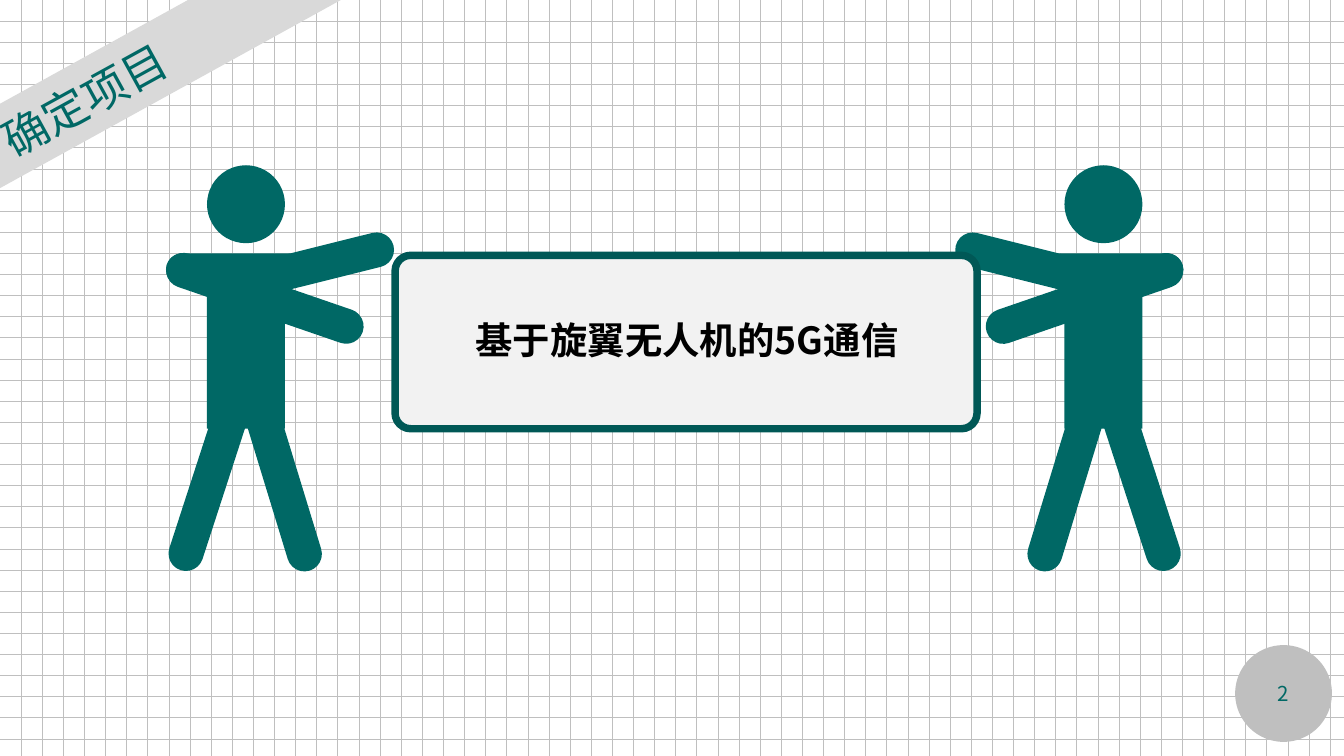
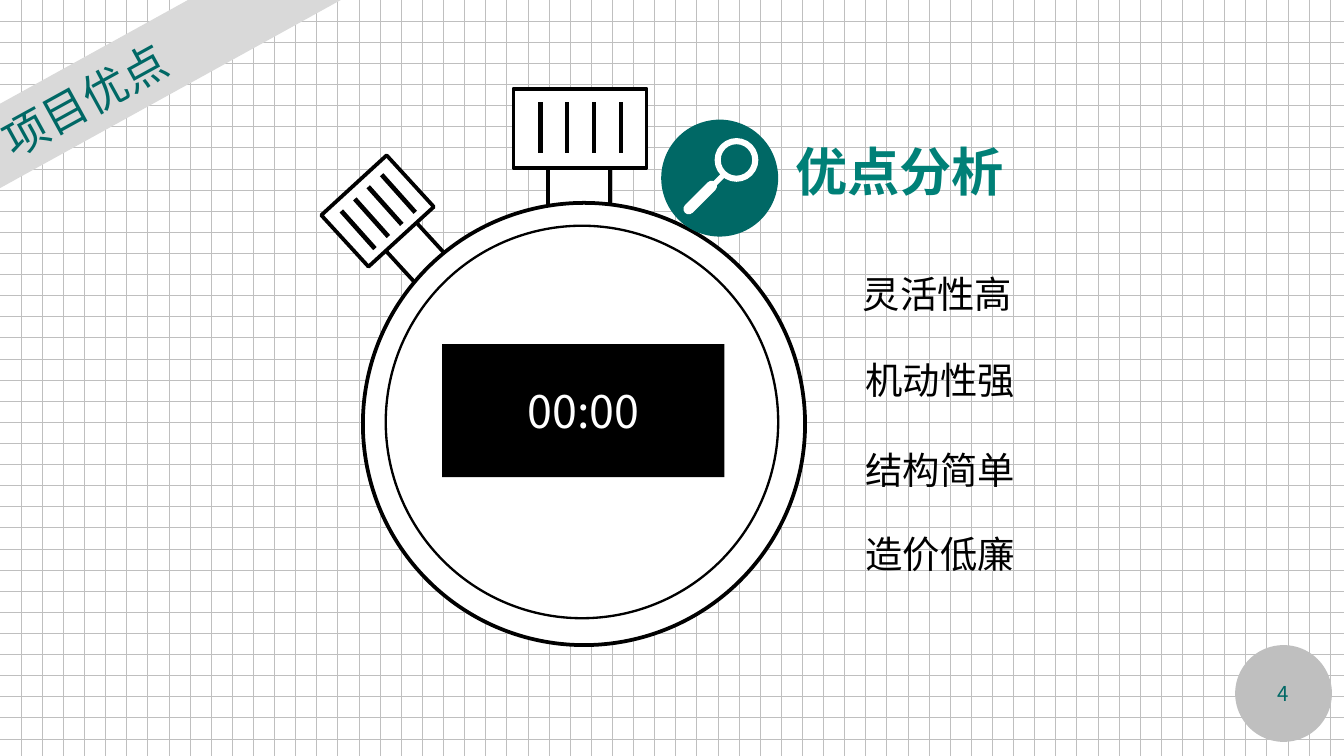
from lxml.etree import SubElement
from pptx import Presentation
from pptx.dml.color import RGBColor
from pptx.enum.dml import MSO_PATTERN
from pptx.enum.shapes import MSO_CONNECTOR, MSO_SHAPE
from pptx.enum.text import MSO_ANCHOR, MSO_AUTO_SIZE, PP_ALIGN
from pptx.oxml.ns import qn
from pptx.util import Inches, Pt

WIDTH = 10
HEIGHT = WIDTH * 9 / 16
FONT = "Noto Sans CJK SC"
TEAL, DARK_TEAL, BRIGHT_TEAL = "006865", "005856", "008077"
BLACK, WHITE = "000000", "FFFFFF"
GRID_GREY, BAND_GREY, PANEL_GREY = "BFBFBF", "D9D9D9", "F2F2F2"

RECT, OVAL, ROUND = MSO_SHAPE.RECTANGLE, MSO_SHAPE.OVAL, MSO_SHAPE.ROUNDED_RECTANGLE
TORSO = MSO_SHAPE.ROUND_2_SAME_RECTANGLE

PROJECT = {"title": "确定项目", "number": "2", "topic": "基于旋翼无人机的5G通信"}
BENEFITS = {
    "title": "项目优点",
    "number": "4",
    "heading": "优点分析",
    "clock": "00:00",
    "items": [
        ("灵活性高", (6.32, 1.97, 1.35, 0.44)),
        ("机动性强", (6.34, 2.61, 1.32, 0.44)),
        ("结构简单", (6.34, 3.28, 1.58, 0.44)),
        ("造价低廉", (6.34, 3.9, 1.58, 0.44)),
    ],
}

MIRROR_AXIS = 5.02
BODY_PARTS = [
    (OVAL, (1.54, 1.23, 0.58, 0.58), 0),
    (TORSO, (1.54, 1.91, 0.58, 1.28), 0),
    (ROUND, (1.45, 2.75, 0.26, 1.53), 18),
    (ROUND, (1.95, 2.75, 0.26, 1.53), 343),
    (ROUND, (2.25, 1.4, 0.26, 1.13), 76),
    (ROUND, (1.84, 1.45, 0.26, 1.54), 109),
    (ROUND, (1.63, 1.49, 0.24, 1.03), 90),
]

BUTTONS = [
    {
        "angle": 0,
        "stem": (4.08, 1.05, 0.46, 0.59),
        "cap": (3.82, 0.66, 0.99, 0.59),
        "first": (4.02, 0.76),
        "step": (0.2, 0),
        "ridge": (0, 0.38),
    },
    {
        "angle": 317.5,
        "stem": (2.87, 1.49, 0.31, 0.63),
        "cap": (2.48, 1.31, 0.66, 0.52),
        "first": (2.54, 1.57),
        "step": (0.1, -0.09),
        "ridge": (0.25, 0.28),
    },
]
RIDGE_COUNT = 4


def color(value):
    return RGBColor.from_string(value)


def add_run(frame, text, size, text_color, bold=False, align=PP_ALIGN.LEFT):
    paragraph = frame.paragraphs[0]
    paragraph.alignment = align
    run = paragraph.add_run()
    run.text = text
    run.font.size = Pt(size)
    run.font.bold = bold
    run.font.name = FONT
    run.font.color.rgb = color(text_color)
    SubElement(run._r.get_or_add_rPr(), qn("a:ea")).set("typeface", FONT)


def add_block(shapes, kind, box, fill, line=None, angle=0, corner=0.5):
    shape = shapes.add_shape(kind, *map(Inches, box))
    shape.rotation = angle
    shape.shadow.inherit = False
    shape.fill.solid()
    shape.fill.fore_color.rgb = color(fill)
    if kind == ROUND:
        shape.adjustments[0] = corner
    if line:
        line_color, points = line
        shape.line.color.rgb = color(line_color)
        shape.line.width = Pt(points)
    else:
        shape.line.fill.background()
    shape.text_frame.vertical_anchor = MSO_ANCHOR.MIDDLE
    return shape


def add_line(shapes, start, end, points):
    ends = map(Inches, (*start, *end))
    connector = shapes.add_connector(MSO_CONNECTOR.STRAIGHT, *ends)
    connector.line.color.rgb = color(BLACK)
    connector.line.width = Pt(points)
    SubElement(connector._element.spPr, qn("a:effectLst"))


def add_label(shapes, box, text, size, text_color=BLACK, bold=False):
    frame = shapes.add_textbox(*map(Inches, box)).text_frame
    frame.word_wrap = True
    frame.auto_size = MSO_AUTO_SIZE.SHAPE_TO_FIT_TEXT
    add_run(frame, text, size, text_color, bold)


def start_slide(presentation, content):
    slide = presentation.slides.add_slide(presentation.slide_layouts[6])
    background = slide.background.fill
    background.patterned()
    background.pattern = MSO_PATTERN.DOTTED_GRID
    background.fore_color.rgb = color(GRID_GREY)
    background.back_color.rgb = color(WHITE)

    band = add_block(slide.shapes, RECT, (-0.95, 0.19, 4.15, 0.55), BAND_GREY, angle=331.1)
    band.text_frame.margin_left = Inches(0.84)
    add_run(band.text_frame, content["title"], 24, TEAL)
    return slide


def add_badge(slide, number):
    badge = add_block(slide.shapes, OVAL, (9.19, 4.8, 0.72, 0.72), GRID_GREY)
    add_run(badge.text_frame, number, 11, TEAL, align=PP_ALIGN.CENTER)


def add_figure(slide, mirrored):
    group = slide.shapes.add_group_shape()
    for kind, (left, top, width, height), angle in BODY_PARTS:
        if mirrored:
            left = 2 * MIRROR_AXIS - left - width
            angle = -angle % 360
        add_block(group.shapes, kind, (left, top, width, height), TEAL, angle=angle)


def add_stopwatch(slide, clock):
    shapes = slide.shapes.add_group_shape().shapes
    outline = (BLACK, 2)
    for button in BUTTONS:
        for part in ("stem", "cap"):
            add_block(shapes, RECT, button[part], WHITE, outline, button["angle"])
        for index in range(RIDGE_COUNT):
            start = [first + index * step for first, step in zip(button["first"], button["step"])]
            end = [place + length for place, length in zip(start, button["ridge"])]
            add_line(shapes, start, end, 2.5)
    add_block(shapes, OVAL, (2.7, 1.51, 3.29, 3.29), WHITE, outline)
    add_block(shapes, OVAL, (2.87, 1.68, 2.92, 2.92), WHITE, (BLACK, 1.25))
    display = add_block(shapes, RECT, (3.29, 2.56, 2.1, 0.99), BLACK)
    add_run(display.text_frame, clock, 24, WHITE, align=PP_ALIGN.CENTER)


def add_heading(slide, heading):
    shapes = slide.shapes.add_group_shape().shapes
    magnifier = [
        (OVAL, (4.92, 0.89, 0.87, 0.87), TEAL, None),
        (RECT, (5.17, 1.35, 0.29, 0.04), WHITE, None),
        (ROUND, (5.05, 1.43, 0.32, 0.08), WHITE, None),
        (OVAL, (5.34, 1.05, 0.28, 0.28), TEAL, (WHITE, 3.25)),
    ]
    for kind, box, fill, line in magnifier:
        add_block(shapes, kind, box, fill, line, angle=315)
    add_label(shapes, (5.82, 0.99, 2.36, 0.57), heading, 28, BRIGHT_TEAL, bold=True)


def build_project(presentation):
    slide = start_slide(presentation, PROJECT)
    add_badge(slide, PROJECT["number"])
    for mirrored in (False, True):
        add_figure(slide, mirrored)
    panel = (2.94, 1.9, 4.33, 1.29)
    add_block(slide.shapes, ROUND, panel, PANEL_GREY, (DARK_TEAL, 4), corner=0.09)
    add_label(slide.shapes, (3.44, 2.31, 3.47, 0.44), PROJECT["topic"], 20, bold=True)


def build_benefits(presentation):
    slide = start_slide(presentation, BENEFITS)
    add_stopwatch(slide, BENEFITS["clock"])
    add_heading(slide, BENEFITS["heading"])
    add_badge(slide, BENEFITS["number"])
    for item, box in BENEFITS["items"]:
        add_label(slide.shapes, box, item, 20)


def main():
    """Build the project slide and the benefits slide."""
    presentation = Presentation()
    presentation.slide_width = Inches(WIDTH)
    presentation.slide_height = Inches(HEIGHT)
    build_project(presentation)
    build_benefits(presentation)
    presentation.save("out.pptx")


if __name__ == "__main__":
    main()
